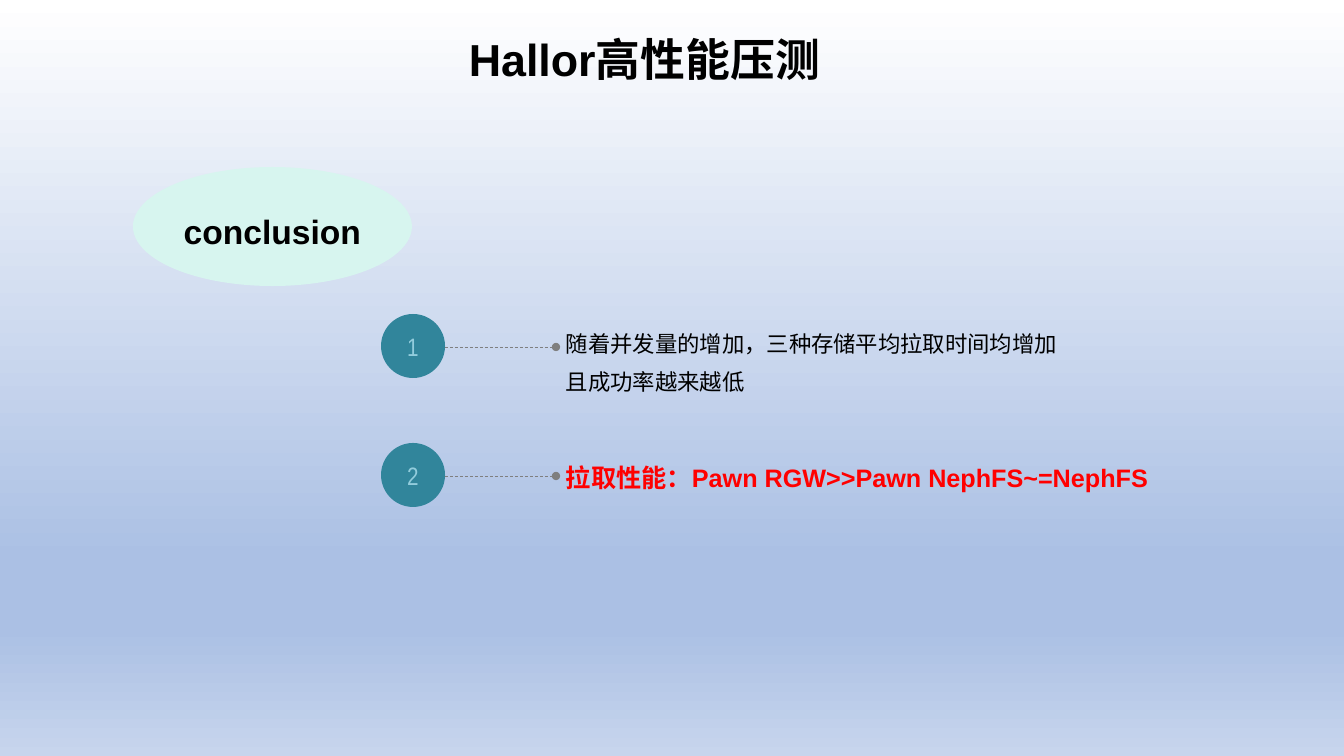
from pptx import Presentation
from pptx.dml.color import RGBColor as RGB
from pptx.enum.dml import MSO_LINE as Dash
from pptx.enum.shapes import MSO_CONNECTOR as Link, MSO_SHAPE as Form
from pptx.enum.text import MSO_ANCHOR as Anchor, PP_ALIGN as Align
from pptx.oxml.ns import qn
from pptx.util import Pt
from lxml.etree import SubElement as Sub

PX = 914400 / 100.8
WIDE, HIGH = 1344, 756
BLACK = RGB(0, 0, 0)
RED = RGB(0xFF, 0, 0)
MINT = RGB(0xD7, 0xF5, 0xEF)
TEAL = RGB(0x31, 0x85, 0x9B)
AQUA = RGB(0x92, 0xCC, 0xDC)
GRAY = RGB(0x7F, 0x7F, 0x7F)
WHITE = RGB(0xFF, 0xFF, 0xFF)
BLUE = RGB(0xAB, 0xC0, 0xE4)
PALE = RGB(0xC7, 0xD5, 0xED)
SKY = [(0, WHITE), (74, BLUE), (83, BLUE), (100, PALE)]


def emu(*nums):
    """Turn pixels into EMU."""
    return [round(num * PX) for num in nums]


def write(frame, lines, size, color, bold=False, face="Arial", align=Align.LEFT):
    """Fill a text frame with lines of one style."""
    frame.word_wrap = True
    for i, line in enumerate(lines):
        para = frame.add_paragraph() if i else frame.paragraphs[0]
        para.text, para.alignment = line, align
        font = para.font
        font.name, font.size, font.bold = face, Pt(size), bold
        font.color.rgb = color


def label(slide, box, lines, size, color, **style):
    """Add a text box and return its frame."""
    frame = slide.shapes.add_textbox(*emu(*box)).text_frame
    write(frame, lines, size, color, **style)
    return frame


def oval(slide, box, fill, text, size, color, **style):
    """Add a plain oval with centred text and return its frame."""
    shape = slide.shapes.add_shape(Form.OVAL, *emu(*box))
    shape.shadow.inherit = False
    shape.fill.solid()
    shape.fill.fore_color.rgb = fill
    shape.line.fill.background()
    frame = shape.text_frame
    frame.vertical_anchor = Anchor.MIDDLE
    write(frame, [text], size, color, align=Align.CENTER, **style)
    return frame


def leader(slide, left, top, width):
    """Add a dashed line that ends in a dot."""
    line = slide.shapes.add_connector(
        Link.STRAIGHT, *emu(left, top, left + width, top))
    line.line.color.rgb = GRAY
    line.line.width = Pt(0.5)
    line.line.dash_style = Dash.DASH
    Sub(line.line._get_or_add_ln(), qn("a:tailEnd"), type="oval")
    Sub(line._element.spPr, qn("a:effectLst"))


def backdrop(slide):
    """Paint the slide with the vertical sky gradient."""
    fill = slide.background.fill
    fill.gradient()
    fill.gradient_angle = 270
    stops = next(slide._element.iter(qn("a:gsLst")))
    for old in list(stops):
        stops.remove(old)
    for pos, color in SKY:
        stop = Sub(stops, qn("a:gs"), pos=str(pos * 1000))
        Sub(stop, qn("a:srgbClr"), val=str(color))


def header(slide, box):
    """Add the slide title."""
    label(slide, box, ["Hallor高性能压测"], 32, BLACK, bold=True,
          align=Align.CENTER)


def badge(slide, box):
    """Add the oval that names the section."""
    frame = oval(slide, box, MINT, "conclusion", 24, BLACK, bold=True)
    frame.margin_top, frame.margin_bottom = emu(15, 5)


def point(slide, box, num, lines, size, color, bold=False):
    """Add a numbered disc, its leader and the text beside it."""
    left, top, width, disc = box
    gap = 175
    oval(slide, (left, top, disc, disc), TEAL, str(num), 18, AQUA,
         face="Arial Narrow")
    leader(slide, left + disc, top + 33, gap - disc)
    return label(slide, (left + gap, top + 14, width - gap, 24),
                 lines, size, color, bold=bold)


def points(slide, box):
    """Add the two findings, one below the other."""
    left, top, width, height = box
    disc = 64
    step = height - disc
    first = point(slide, (left, top, width, disc), 1,
                  ["随着并发量的增加，三种存储平均拉取时间均增加",
                   "且成功率越来越低"], 16, BLACK)
    for para in first.paragraphs:
        para.line_spacing, para.space_before = 0.9, Pt(10)
    point(slide, (left, top + step, width, disc), 2,
          ["拉取性能：Pawn RGW>>Pawn NephFS~=NephFS"], 18, RED, bold=True)


def main():
    """Build and save the slide."""
    deck = Presentation()
    deck.slide_width, deck.slide_height = emu(WIDE, HIGH)
    slide = deck.slides.add_slide(deck.slide_layouts[6])
    backdrop(slide)
    header(slide, (219, 27, 851, 119))
    badge(slide, (133, 167, 279, 119))
    points(slide, (381, 314, 787, 193))
    deck.save("out.pptx")


main()
